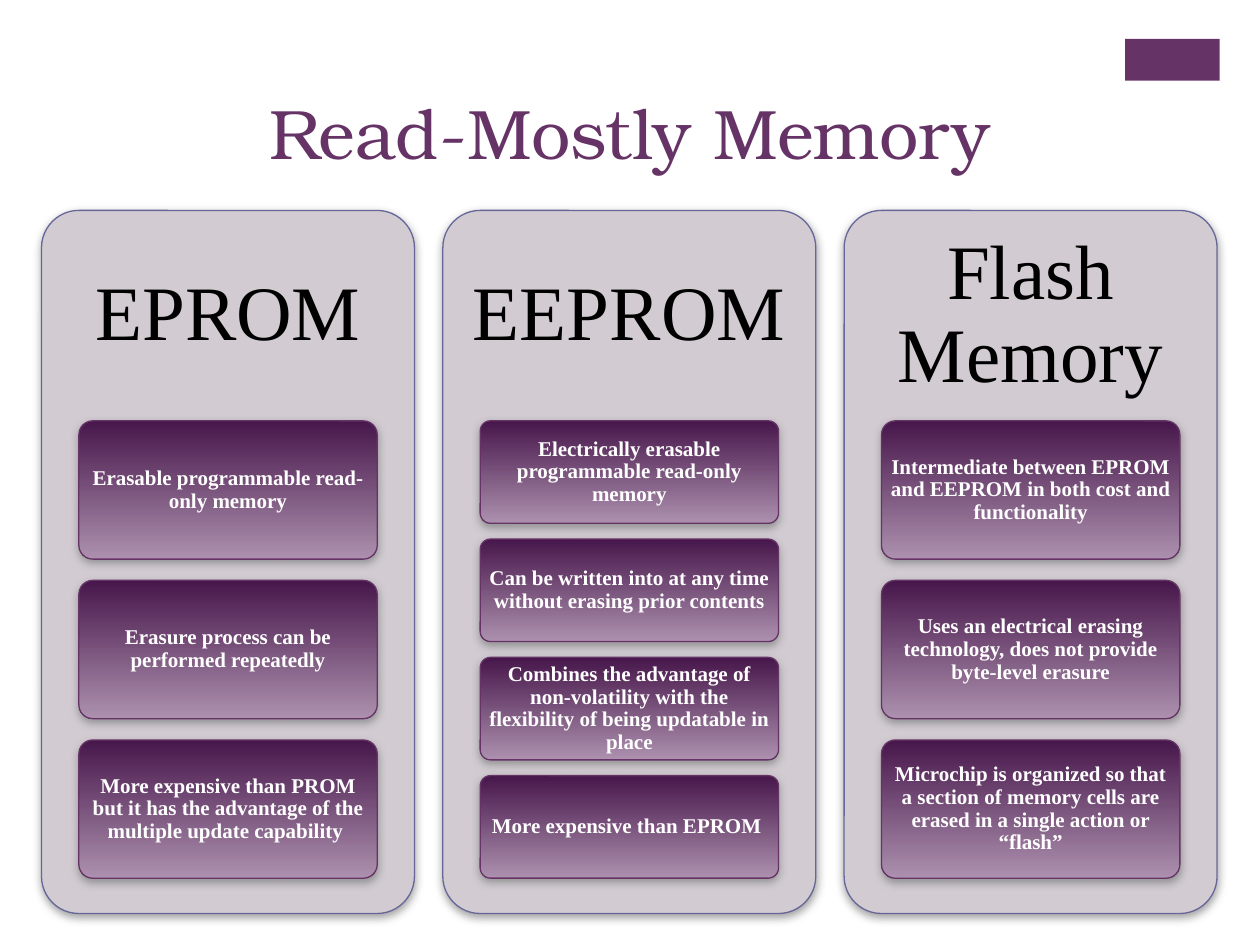
from lxml.etree import SubElement
from pptx import Presentation
from pptx.dml.color import RGBColor
from pptx.enum.shapes import MSO_SHAPE as Shape
from pptx.enum.text import MSO_ANCHOR as Anchor, PP_ALIGN as Align
from pptx.oxml.ns import qn
from pptx.util import Inches, Pt

TITLE = "Read-Mostly Memory"
COLUMNS = [
    ("EPROM", [
        "Erasable programmable read-only memory",
        "Erasure process can be performed repeatedly",
        "More expensive than PROM but it has the advantage of the multiple update capability ",
    ]),
    ("EEPROM", [
        "Electrically erasable programmable read-only memory",
        "Can be written into at any time without erasing prior contents",
        "Combines the advantage of non-volatility with the flexibility of being updatable in place",
        "More expensive than EPROM ",
    ]),
    ("Flash Memory", [
        "Intermediate between EPROM and EEPROM in both cost and functionality",
        "Uses an electrical erasing technology, does not provide byte-level erasure",
        "Microchip is organized so that a section of memory cells are erased in a single action or “flash”",
    ]),
]
COLORS = {
    "accent": "663366", "panel": "D2CCD2", "panel_line": "666699",
    "card_top": "47174B", "card_bottom": "AC90AE", "shadow": "808080",
    "heading": "000000", "card_text": "FFFFFF",
}
TITLE_FONT, BODY_FONT = "TeX Gyre Bonum", "Times New Roman"

PANEL_LEFT, PANEL_TOP, PANEL_WIDTH, PANEL_HEIGHT = 0.33, 1.67, 2.96, 5.58
PANEL_PITCH = 3.185
HEADING_HEIGHT = 0.3 * PANEL_HEIGHT
CARD_WIDTH = 0.8 * PANEL_WIDTH
CARDS_TOP, CARDS_HEIGHT = 3.34, 3.63
GAP_RATIO = 0.154  # gap between cards as a share of card height


def color(name):
    return RGBColor.from_string(COLORS[name])


def write(frame, text, size, font, color_name, insets, bold=False, spacing=None):
    frame.word_wrap = True
    frame.vertical_anchor = Anchor.MIDDLE
    frame.margin_left = frame.margin_right = Inches(insets[0])
    frame.margin_top = frame.margin_bottom = Inches(insets[1])
    paragraph = frame.paragraphs[0]
    paragraph.alignment = Align.CENTER
    if spacing:
        paragraph.line_spacing = spacing
        paragraph.space_before = paragraph.space_after = Pt(0)
    run = paragraph.add_run()
    run.text = text
    run.font.size, run.font.name, run.font.bold = Pt(size), font, bold
    run.font.color.rgb = color(color_name)


def add_rounded(slide, box, line_name):
    """Add a rounded rectangle with a thin outline and a soft shadow below."""
    shape = slide.shapes.add_shape(Shape.ROUNDED_RECTANGLE, *map(Inches, box))
    shape.adjustments[0] = 0.1
    shape.line.color.rgb = color(line_name)
    shape.line.width = Pt(0.75)
    shape.shadow.inherit = False
    effects = shape.element.spPr.find(qn("a:effectLst"))
    shadow = SubElement(effects, qn("a:outerShdw"), blurRad=str(Pt(5)),
                        dist=str(Pt(2)), dir="5400000", rotWithShape="0")
    shade = SubElement(shadow, qn("a:srgbClr"), val=COLORS["shadow"])
    SubElement(shade, qn("a:alpha"), val="75000")
    return shape


def add_card(slide, box, text):
    card = add_rounded(slide, box, "accent")
    card.fill.gradient()
    card.fill.gradient_angle = 270
    for stop, name in zip(card.fill.gradient_stops, ("card_top", "card_bottom")):
        stop.color.rgb = color(name)
    write(card.text_frame, text, 12, BODY_FONT, "card_text", (0.03, 0.02), True, 0.9)


def add_column(slide, left, heading, items):
    panel = add_rounded(slide, (left, PANEL_TOP, PANEL_WIDTH, PANEL_HEIGHT), "panel_line")
    panel.fill.solid()
    panel.fill.fore_color.rgb = color("panel")
    heading_box = slide.shapes.add_textbox(
        *map(Inches, (left, PANEL_TOP, PANEL_WIDTH, HEADING_HEIGHT)))
    write(heading_box.text_frame, heading, 44, BODY_FONT, "heading", (0.18, 0.18), spacing=0.9)

    count = len(items)
    height = CARDS_HEIGHT / (count + (count - 1) * GAP_RATIO)
    card_left = left + (PANEL_WIDTH - CARD_WIDTH) / 2
    for row, text in enumerate(items):
        top = CARDS_TOP + row * height * (1 + GAP_RATIO)
        add_card(slide, (card_left, top, CARD_WIDTH, height), text)


def main():
    presentation = Presentation()
    presentation.slide_width, presentation.slide_height = Inches(10), Inches(7.5)
    slide = presentation.slides.add_slide(presentation.slide_layouts[5])

    corner = slide.shapes.add_shape(
        Shape.RECTANGLE, *map(Inches, (8.93, 0.31, 0.75, 0.33)))
    corner.shadow.inherit = False
    corner.fill.solid()
    corner.fill.fore_color.rgb = color("accent")
    corner.line.fill.background()

    title = slide.shapes.title
    title.left, title.top, title.width, title.height = map(Inches, (0, 0.5, 10, 1.09))
    write(title.text_frame, TITLE, 40, TITLE_FONT, "accent", (0.1, 0.05))

    for index, (heading, items) in enumerate(COLUMNS):
        add_column(slide, PANEL_LEFT + index * PANEL_PITCH, heading, items)

    presentation.save("out.pptx")


if __name__ == "__main__":
    main()
